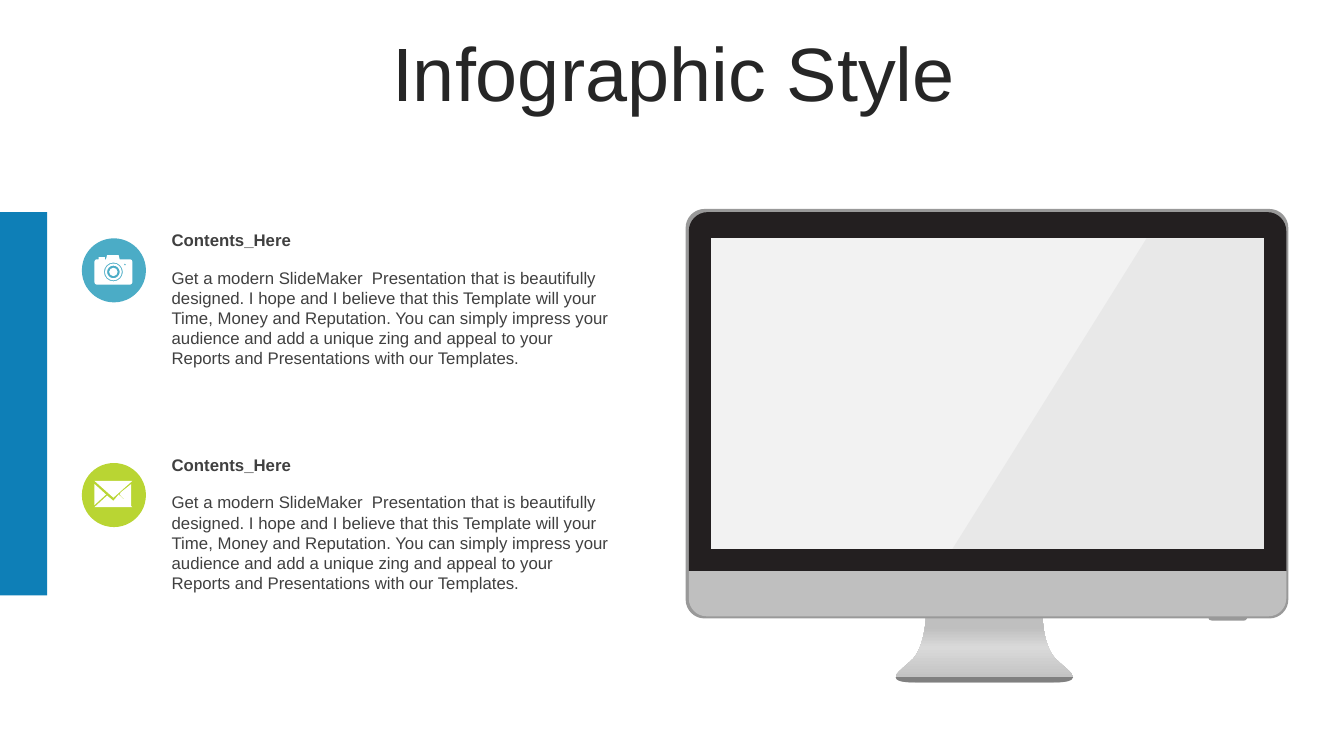
from lxml.etree import SubElement
from pptx import Presentation
from pptx.dml.color import RGBColor
from pptx.enum.shapes import MSO_SHAPE as Shape
from pptx.enum.text import MSO_ANCHOR as Anchor, PP_ALIGN as Align
from pptx.oxml.ns import qn
from pptx.util import Pt

PX = 9525
TITLE = {"name": "Arial", "size": Pt(54), "color": "262626"}
BODY = {"name": "Arial", "size": Pt(12), "color": "404040"}
HEADING = {**BODY, "bold": True}
MESSAGE = (
    "Get a modern SlideMaker  Presentation that is beautifully designed. "
    "I hope and I believe that this Template will your Time, Money and Reputation. "
    "You can simply impress your audience and add a unique zing and appeal to your "
    "Reports and Presentations with our Templates."
)


def rgb(hex_code):
    """Turn a hex string into a colour."""
    return RGBColor.from_string(hex_code)


def paint(shape, color):
    """Give a shape a flat fill without line or shadow."""
    shape.shadow.inherit = False
    shape.line.fill.background()
    shape.fill.solid()
    shape.fill.fore_color.rgb = rgb(color)
    return shape


def add_preset(slide, kind, box, color):
    """Add a preset shape in a px box."""
    return paint(slide.shapes.add_shape(kind, *(v * PX for v in box)), color)


def add_text(slide, box, text, style):
    """Add a wrapped single-paragraph text box and return its frame."""
    frame = slide.shapes.add_textbox(*(v * PX for v in box)).text_frame
    frame.word_wrap = True
    run = frame.paragraphs[0].add_run()
    run.text = text
    for key, value in style.items():
        if key == "color":
            run.font.color.rgb = rgb(value)
        else:
            setattr(run.font, key, value)
    return frame


def add_outline(slide, origin, contours, color):
    """Add a closed freeform; six-number parts of a contour are cubic curves."""
    left, top = origin
    builder = None
    for contour in contours:
        knots = [((left + part[-2]) * PX, (top + part[-1]) * PX) for part in contour]
        if builder is None:
            builder = slide.shapes.build_freeform(*knots[0])
        else:
            builder.move_to(*knots[0])
        builder.add_line_segments(knots[1:], close=True)
    shape = builder.convert_to_shape()
    parts = [part for contour in contours for part in contour[1:]]
    segments = list(shape._element.iter(qn("a:lnTo")))
    for segment, part in zip(segments, parts):
        if len(part) == 6:
            segment.tag = qn("a:cubicBezTo")
            segment.remove(segment[0])
            for x, y in zip(part[::2], part[1::2]):
                SubElement(segment, qn("a:pt"),
                           x=str(round((left + x) * PX - shape.left)),
                           y=str(round((top + y) * PX - shape.top)))
    return paint(shape, color)


def circle(x, y, radius):
    """Return a circle as four curves."""
    k = radius * 0.55
    return [
        (x, y - radius),
        (x + k, y - radius, x + radius, y - k, x + radius, y),
        (x + radius, y + k, x + k, y + radius, x, y + radius),
        (x - k, y + radius, x - radius, y + k, x - radius, y),
        (x - radius, y - k, x - k, y - radius, x, y - radius),
    ]


def rounded(left, top, right, bottom, upper, lower):
    """Return a rectangle outline with its own upper and lower corner radii."""
    u, d = upper * 0.45, lower * 0.45
    upper_right = (right - u, top, right, top + u, right, top + upper)
    lower_right = (right, bottom - d, right - d, bottom, right - lower, bottom)
    lower_left = (left + d, bottom, left, bottom - d, left, bottom - lower)
    upper_left = (left, top + u, left + u, top, left + upper, top)
    return [
        (left + upper, top), (right - upper, top), *([upper_right] if upper else []),
        (right, bottom - lower), *([lower_right] if lower else []),
        (left + lower, bottom), *([lower_left] if lower else []),
        *([(left, top + upper), upper_left] if upper else []),
    ]


def shade(shape, stops, angle):
    """Replace a flat fill by a gradient with the given stops."""
    shape.fill.gradient()
    shape.fill.gradient_angle = angle
    stop_list = shape._element.spPr.find(qn("a:gradFill")).find(qn("a:gsLst"))
    for old in list(stop_list):
        stop_list.remove(old)
    for percent, color in stops:
        stop = SubElement(stop_list, qn("a:gs"), pos=str(percent * 1000))
        SubElement(stop, qn("a:srgbClr"), val=color)


def draw_monitor(slide, box):
    """Draw the desktop monitor with its stand, bezel, chin and glare."""
    left, top, width, height = box
    origin = left, top
    stand = add_outline(slide, origin, [[
        (340, 388), (229, 388), (229, 388, 228, 415, 217, 428),
        (210, 435, 201, 441, 200, 445), (200, 449, 204, 451, 219, 451), (350, 451),
        (365, 451, 369, 449, 369, 445), (368, 441, 359, 435, 352, 428),
        (340, 415, 340, 388, 340, 388),
    ]], "BFBFBF")
    shade(stand, [(0, "BFBFBF"), (53, "D9D9D9"), (83, "BFBFBF"), (100, "BFBFBF")], 90)
    add_outline(slide, origin, [rounded(0, 0, width, height, 18, 18)], "999999")
    add_outline(slide, origin, [[
        (498, 388), (498, 388, 497, 392, 501, 392), (532, 392),
        (532, 392, 535, 392, 535, 388),
    ]], "999999")
    add_outline(slide, origin, [rounded(3, 3, width - 2, 345, 18, 0)], "231F20")
    add_outline(slide, origin, [[
        (200, 446), (200, 449, 205, 451, 219, 451), (350, 451),
        (363, 451, 369, 449, 369, 446),
    ]], "808080")
    add_outline(slide, origin, [rounded(3, 345, width - 2, height - 2, 0, 17)], "BFBFBF")
    add_outline(slide, origin, [rounded(24, 28, 551, 324, 0, 0)], "F2F2F2")
    glare = add_outline(slide, origin, [[(439, 28), (551, 28), (551, 324), (254, 324)]],
                        "999999")
    tint = glare._element.spPr.find(qn("a:solidFill")).find(qn("a:srgbClr"))
    SubElement(tint, qn("a:alpha"), val="10000")


def camera():
    """Return the contours of the camera icon."""
    lens = [circle(30, 32, radius) for radius in (4, 6, 8, 9)]
    body = [
        (24, 16), (35, 16), (36, 20), (46, 20), (47, 20, 48, 21, 48, 22), (48, 42),
        (48, 43, 47, 44, 46, 44), (14, 44), (13, 44, 12, 43, 12, 42), (12, 22),
        (12, 21, 13, 20, 14, 20), (16, 20), (16, 18), (22, 18), (22, 20), (23, 20),
    ]
    return [*lens, circle(41, 25, 1), body]


def envelope():
    """Return the contours of the envelope icon."""
    return [
        [(35, 30), (48, 42), (12, 42), (24, 31), (30, 36)],
        [(47, 20), (47, 41), (36, 30), (37, 28)],
        [(12, 20), (23, 30), (12, 40)],
        [(12, 17), (48, 17), (30, 33)],
    ]


def draw_item(slide, box, icon, color):
    """Draw a badge with its icon beside a heading and a message."""
    left, top, width, height = box
    badge = left, top + 13
    add_preset(slide, Shape.OVAL, (*badge, 61, 61), color)
    add_outline(slide, badge, icon, "FFFFFF")
    add_text(slide, (left + 76, top + 36, width - 76, height - 36), MESSAGE, BODY)
    add_text(slide, (left + 76, top, width - 76, 29), "Contents_Here", HEADING)


def draw_title(slide, box):
    """Write the centred slide title."""
    frame = add_text(slide, box, "Infographic Style", TITLE)
    frame.vertical_anchor = Anchor.MIDDLE
    for key, value in {"alignment": Align.CENTER, "line_spacing": 0.9}.items():
        setattr(frame.paragraphs[0], key, value)


def main():
    """Build the slide and save it."""
    deck = Presentation()
    deck.slide_width, deck.slide_height = 1280 * PX, 720 * PX
    slide = deck.slides.add_slide(deck.slide_layouts[6])
    draw_monitor(slide, (653, 199, 574, 390))
    draw_title(slide, (34, 35, 1215, 76))
    for row, (icon, color) in enumerate([(camera(), "4BACC6"), (envelope(), "B9D533")]):
        draw_item(slide, (78, 214 + 214 * row, 519, 143), icon, color)
    add_preset(slide, Shape.RECTANGLE, (0, 202, 45, 365), "0E7FB7")
    deck.save("out.pptx")


if __name__ == "__main__":
    main()
